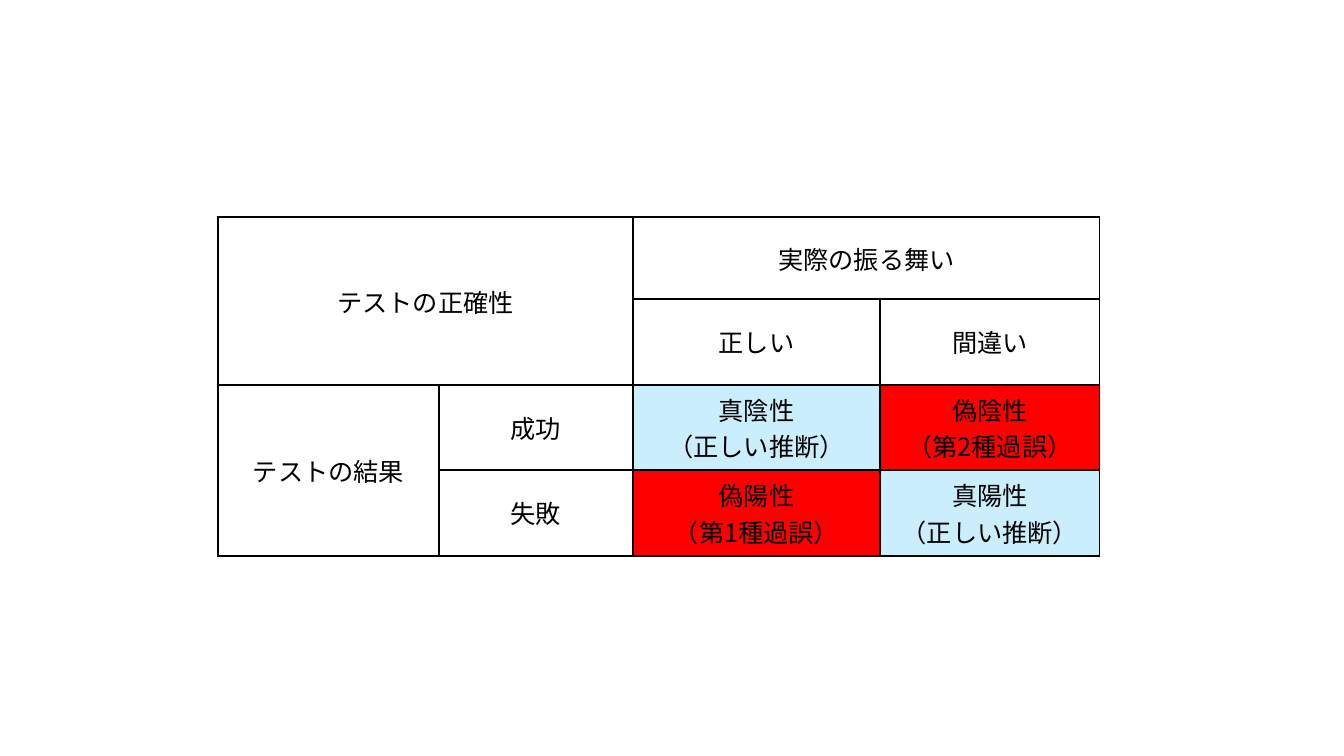
from lxml.etree import SubElement
from pptx import Presentation
from pptx.dml.color import RGBColor
from pptx.enum.lang import MSO_LANGUAGE_ID
from pptx.enum.text import MSO_ANCHOR, PP_ALIGN
from pptx.oxml.ns import qn
from pptx.util import Pt

EMU_PER_PX = 914400 / 100.8
FONT = "Noto Sans CJK JP"
BLACK = "000000"
CORRECT = "CAEEFB"
ERROR = "FF0000"

COLUMN_WIDTHS = [221, 194, 247, 220]
ROW_HEIGHTS = [82, 86, 85, 86]

# (row, column, rows spanned, columns spanned, text, fill)
CELLS = [
    (0, 0, 2, 2, "テストの正確性", None),
    (0, 2, 1, 2, "実際の振る舞い", None),
    (1, 2, 1, 1, "正しい", None),
    (1, 3, 1, 1, "間違い", None),
    (2, 0, 2, 1, "テストの結果", None),
    (2, 1, 1, 1, "成功", None),
    (2, 2, 1, 1, "真陰性\n（正しい推断）", CORRECT),
    (2, 3, 1, 1, "偽陰性\n（第2種過誤）", ERROR),
    (3, 1, 1, 1, "失敗", None),
    (3, 2, 1, 1, "偽陽性\n（第1種過誤）", ERROR),
    (3, 3, 1, 1, "真陽性\n（正しい推断）", CORRECT),
]


def px(length):
    return round(length * EMU_PER_PX)


def rgb(hex_color):
    return RGBColor.from_string(hex_color)


def write_text(text_frame, text, size=18, color=BLACK, align=PP_ALIGN.CENTER):
    text_frame.text = text
    for paragraph in text_frame.paragraphs:
        paragraph.alignment = align
        for run in paragraph.runs:
            run.font.size = Pt(size)
            run.font.name = FONT
            run.font.language_id = MSO_LANGUAGE_ID.JAPANESE
            run.font.color.rgb = rgb(color)
            SubElement(run.font._element, qn("a:ea"), typeface=FONT)


def set_borders(cell, color=BLACK, width=1):
    properties = cell._tc.get_or_add_tcPr()
    for side in ("a:lnL", "a:lnR", "a:lnT", "a:lnB"):
        border = SubElement(properties, qn(side), w=str(Pt(width)))
        fill = SubElement(border, qn("a:solidFill"))
        SubElement(fill, qn("a:srgbClr"), val=color)


def set_fill(cell, color):
    if color:
        cell.fill.solid()
        cell.fill.fore_color.rgb = rgb(color)
    else:
        cell.fill.background()


def add_grid(slide, left, top, column_widths, row_heights):
    """Add a plain bordered table without style banding."""
    frame = slide.shapes.add_table(
        len(row_heights), len(column_widths), px(left), px(top),
        px(sum(column_widths)), px(sum(row_heights)))
    grid = frame.table
    grid.first_row = False
    grid.horz_banding = False
    for column, width in zip(grid.columns, column_widths):
        column.width = px(width)
    for row, height in zip(grid.rows, row_heights):
        row.height = px(height)
    for cell in grid.iter_cells():
        set_borders(cell)
        set_fill(cell, None)
    return grid


def main():
    presentation = Presentation()
    presentation.slide_width = px(1344)
    presentation.slide_height = px(756)
    slide = presentation.slides.add_slide(presentation.slide_layouts[6])

    accuracy = add_grid(slide, 218, 217, COLUMN_WIDTHS, ROW_HEIGHTS)
    for row, column, row_span, column_span, text, fill in CELLS:
        cell = accuracy.cell(row, column)
        if row_span * column_span > 1:
            cell.merge(accuracy.cell(row + row_span - 1, column + column_span - 1))
        cell.vertical_anchor = MSO_ANCHOR.MIDDLE
        write_text(cell.text_frame, text)
        set_fill(cell, fill)

    presentation.save("out.pptx")


if __name__ == "__main__":
    main()
